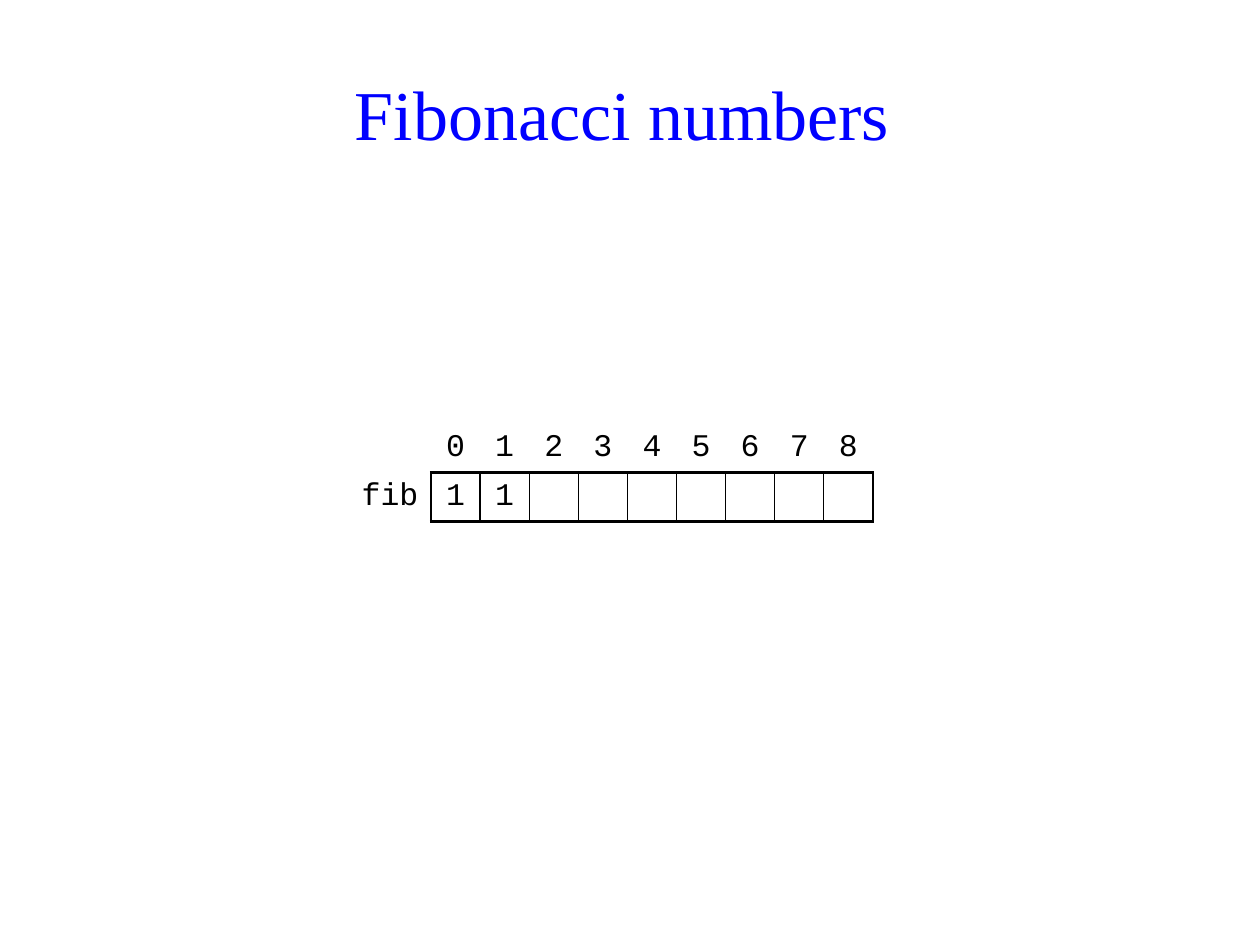
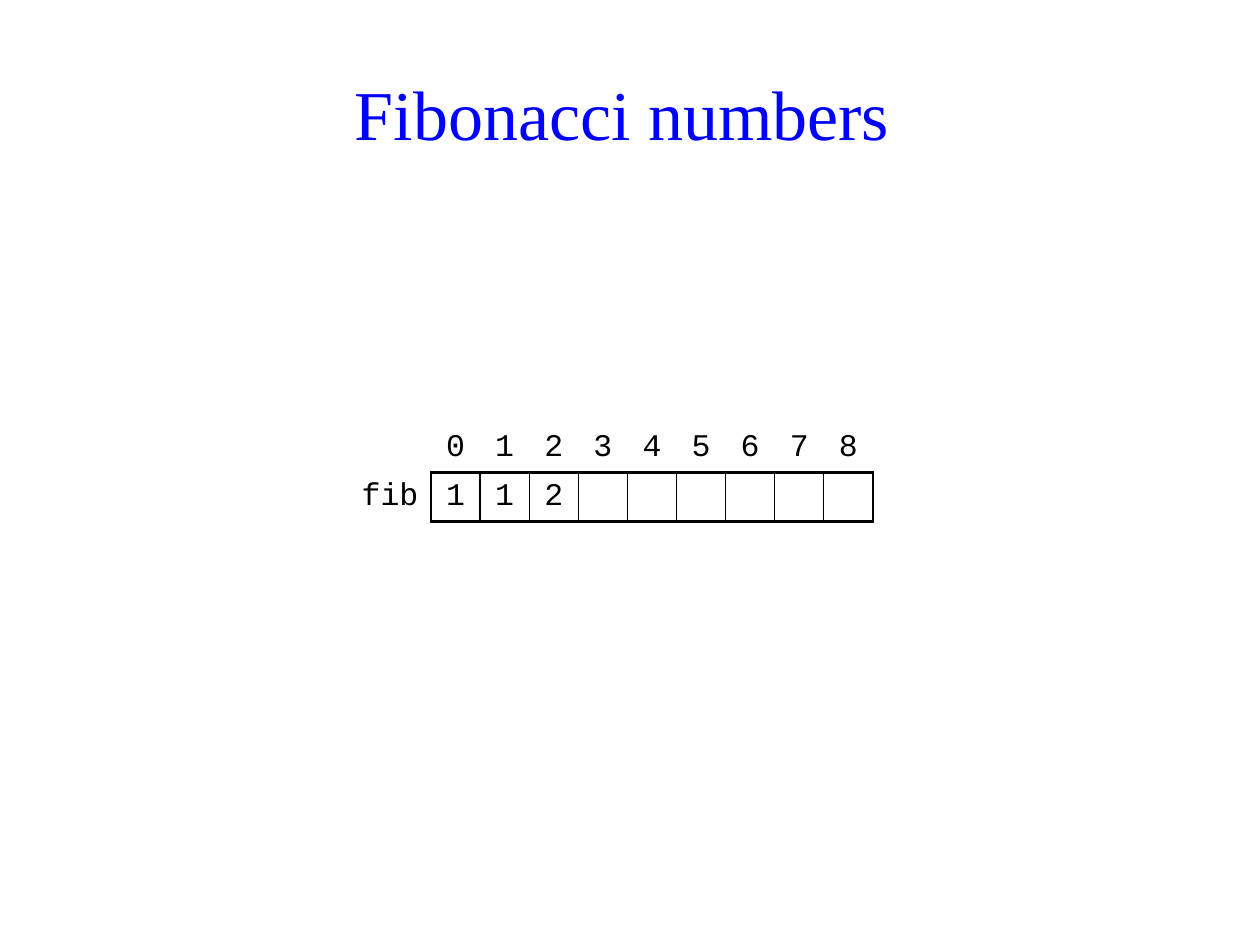
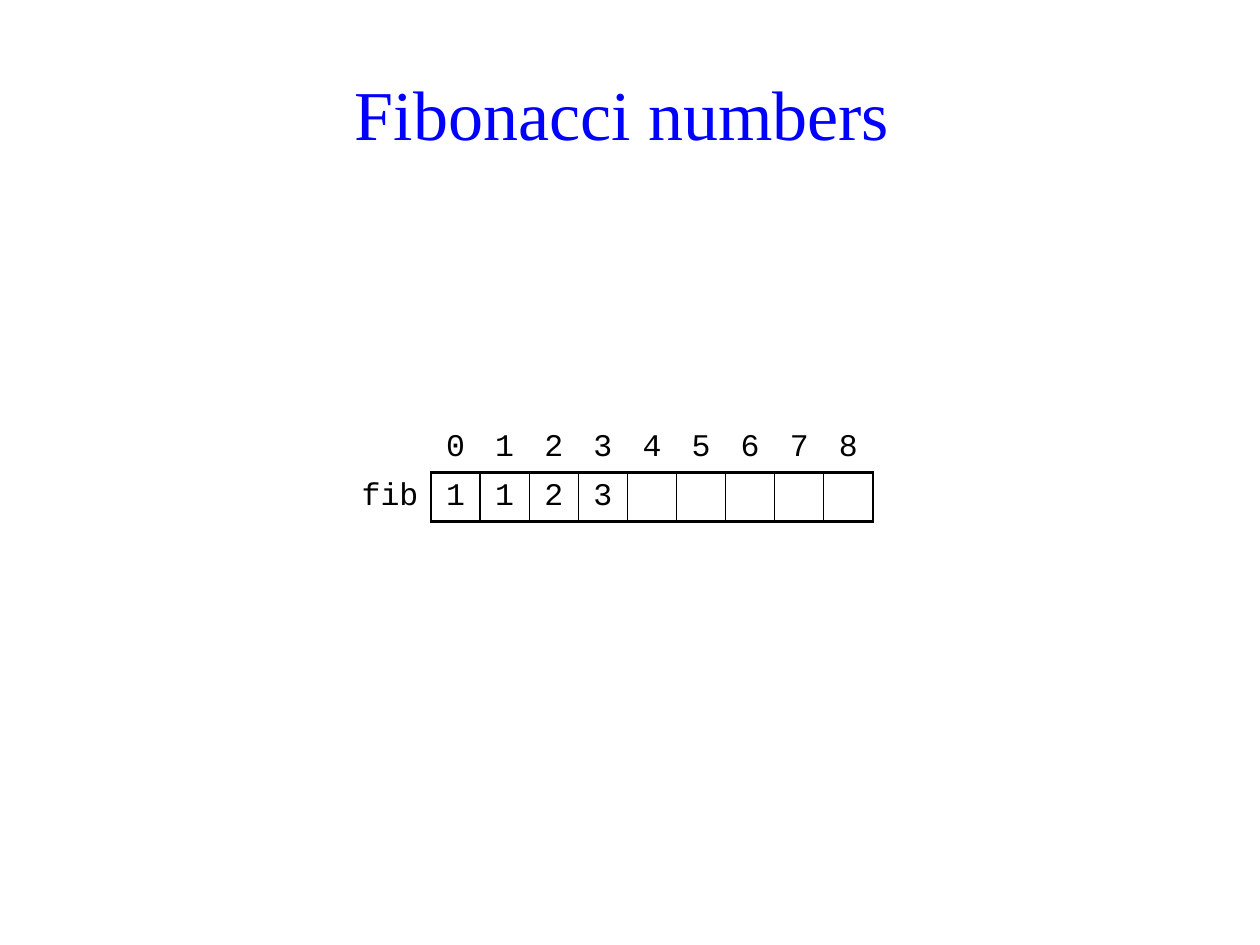
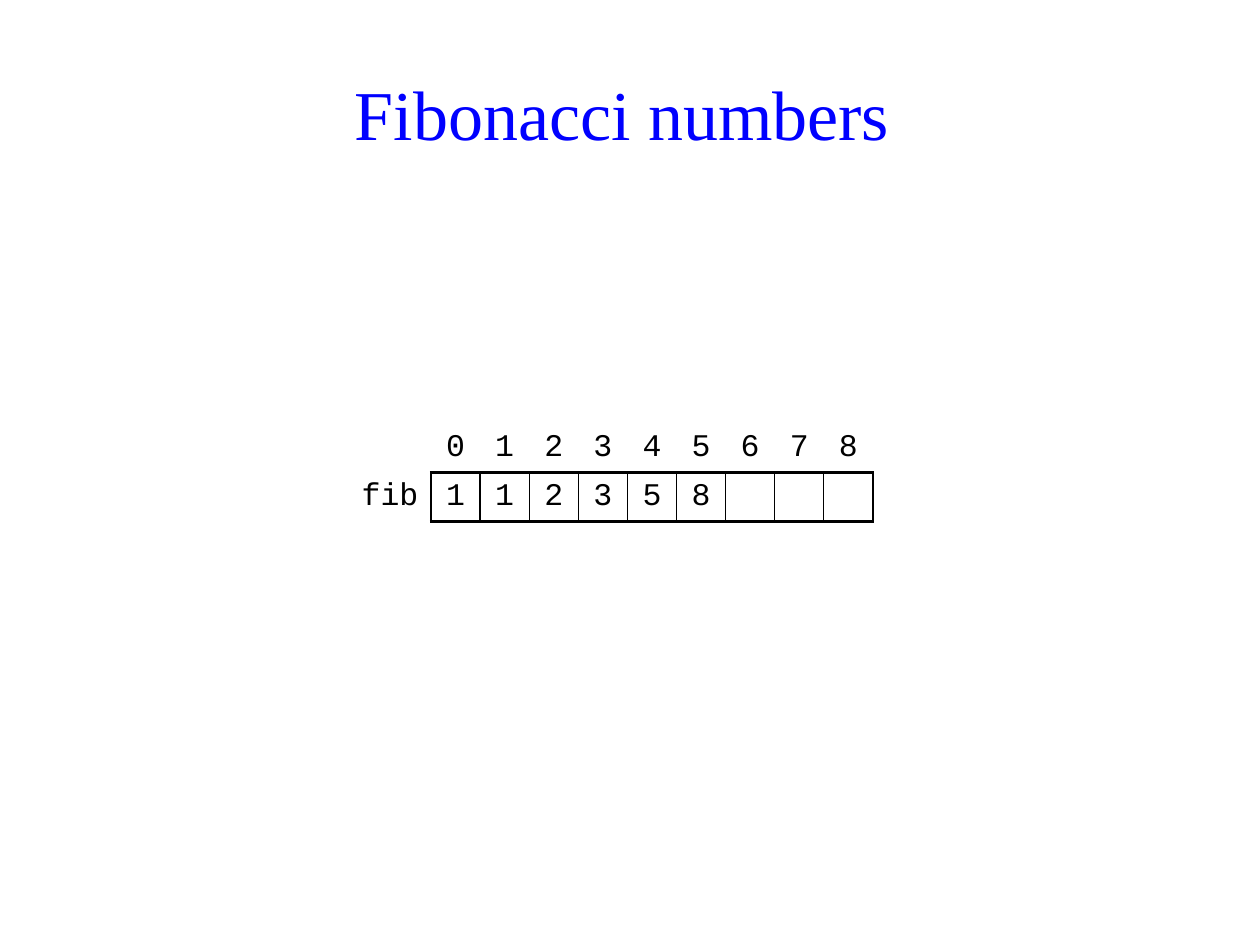
from pptx import Presentation
from pptx import util as u
from pptx.dml.color import RGBColor
from pptx.enum import text
from pptx.oxml import parse_xml
from pptx.oxml.ns import nsdecls

WIDTH, HEIGHT = 10, 7.5
BLUE, BLACK = "0000FF", "000000"
TITLE = {"name": "Times New Roman", "size": u.Pt(40), "bold": False}
CODE = {"name": "Courier New", "size": u.Pt(18), "bold": False}
THICK, THIN, NONE = 1.5, 0.75, 0
CELL = 0.39
SLOTS = 9
FIB = [1, 1, 2, 3, 5, 8]
STEPS = [2, 3, 4, 6]  # numbers filled in on each slide


def apply(item, values):
    for name, value in values.items():
        setattr(item, name, value)


def write(frame, words, style, color, align):
    para = frame.paragraphs[0]
    para.alignment = align
    run = para.add_run()
    run.text = words
    apply(run.font, style)
    run.font.color.rgb = RGBColor.from_string(color)


def add_title(slide, words):
    title = slide.shapes.title
    apply(title, {"left": u.Inches(0.28), "top": u.Inches(0.4),
                  "width": u.Inches(9.45), "height": u.Inches(0.98)})
    title.text_frame.vertical_anchor = text.MSO_ANCHOR.MIDDLE
    write(title.text_frame, words, TITLE, BLUE, text.PP_ALIGN.CENTER)


def set_edges(cell, **widths):
    """Draw the L, R, T and B edges in points; an edge of width 0 is hidden."""
    props = cell._tc.get_or_add_tcPr()
    for side in "LRTB":
        width = widths.get(side, NONE)
        paint = (f'<a:solidFill><a:srgbClr val="{BLACK}"/></a:solidFill>'
                 if width else "<a:noFill/>")
        props.append(parse_xml(
            f'<a:ln{side} {nsdecls("a")} w="{u.Pt(width)}">{paint}</a:ln{side}>'))


def edges(row, col):
    if row == 0:
        return {"B": THICK} if col else {}
    if col == 0:
        return {"R": THICK}
    return {"L": THICK if col == 1 else THIN,
            "R": THICK if col == SLOTS else THIN,
            "T": THICK, "B": THICK}


def add_array(slide, name, values):
    """Show an array as a row of slots, with the indexes above it."""
    blanks = [""] * (SLOTS - len(values))
    rows = [["", *range(SLOTS)], [name, *values, *blanks]]
    widths = [2 * CELL] + [CELL] * SLOTS
    table = slide.shapes.add_table(
        len(rows), len(widths), u.Inches(2.64), u.Inches(3.36),
        u.Inches(sum(widths)), u.Inches(CELL * len(rows))).table
    apply(table, {"first_row": False, "horz_banding": False})
    for col, width in zip(table.columns, widths):
        col.width = u.Inches(width)
    for r, items in enumerate(rows):
        for c, item in enumerate(items):
            cell = table.cell(r, c)
            apply(cell, {"margin_top": 0, "margin_bottom": 0,
                         "vertical_anchor": text.MSO_ANCHOR.MIDDLE})
            set_edges(cell, **edges(r, c))
            cell.fill.background()
            if item != "":
                align = text.PP_ALIGN.CENTER if c else text.PP_ALIGN.RIGHT
                write(cell.text_frame, str(item), CODE, BLACK, align)


def main():
    deck = Presentation()
    deck.slide_width, deck.slide_height = u.Inches(WIDTH), u.Inches(HEIGHT)
    layout = deck.slide_layouts.get_by_name("Title Only")
    for count in STEPS:
        slide = deck.slides.add_slide(layout)
        add_title(slide, "Fibonacci numbers ")
        add_array(slide, "fib", FIB[:count])
    deck.save("out.pptx")


if __name__ == "__main__":
    main()
